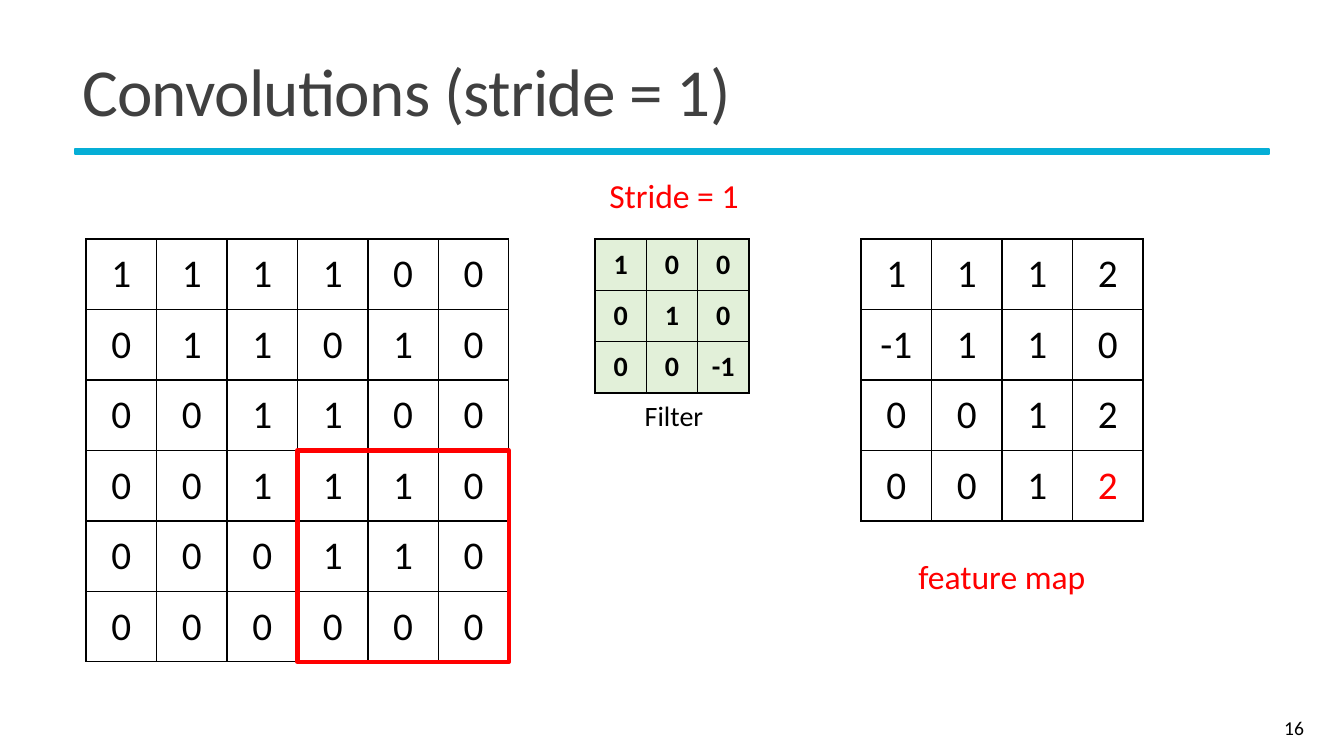
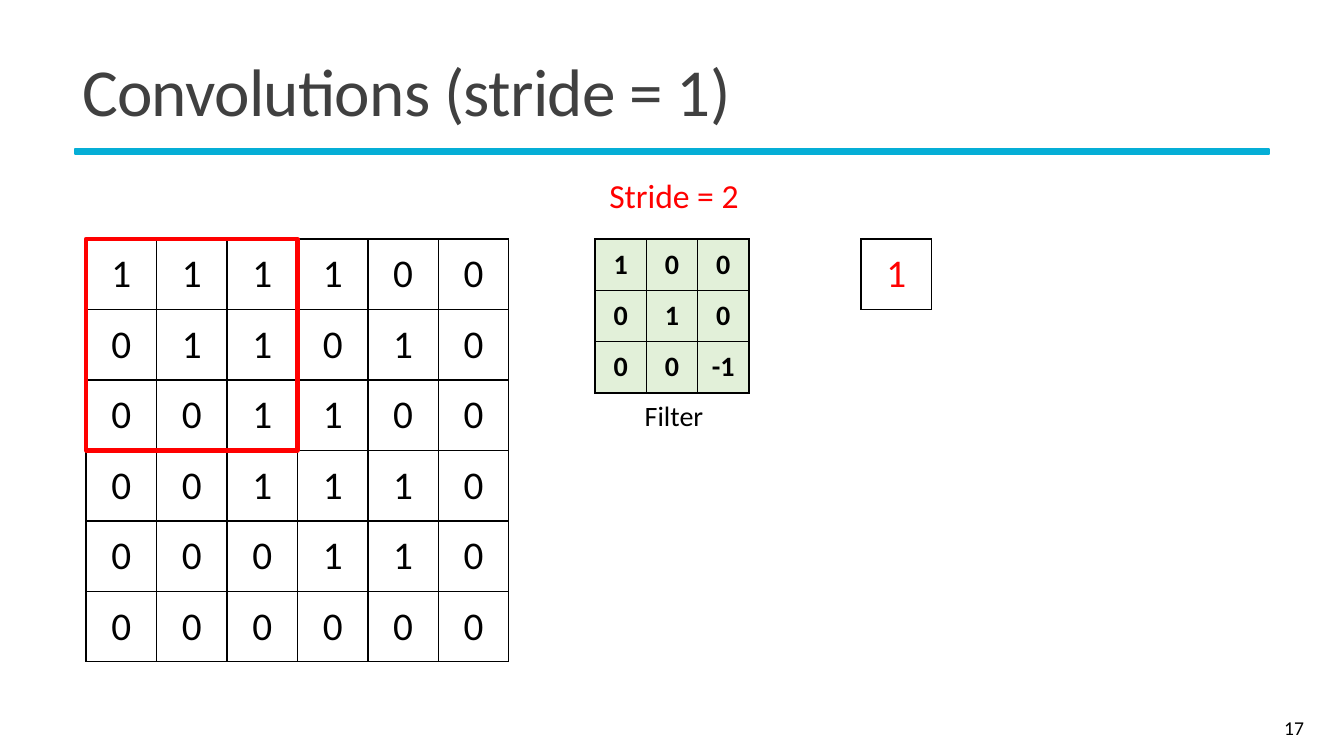
from lxml.etree import SubElement as Sub
from pptx import Presentation
from pptx.dml.color import RGBColor as Rgb
from pptx.enum.shapes import MSO_SHAPE as Shape
from pptx.enum.text import MSO_ANCHOR as Anchor, PP_ALIGN as Align
from pptx.oxml.ns import qn
from pptx.util import Emu, Pt

SCALE = 914400 / 100.8
HUES = {"band": "05AED6", "title": "404040", "ink": "000000",
        "mark": "FF0000", "mint": "E2F0D9"}
PLAIN = "{2D5ABB26-0587-4C30-8999-92F81FD0307C}"
LOOKS = {
    "title": {"size": Pt(48)},
    "page": {"size": Pt(14)},
    "cell": {"size": Pt(28)},
    "small": {"size": Pt(20), "bold": True},
    "note": {"size": Pt(20)},
    "head": {"size": Pt(24)},
}
IMAGE = ["1 1 1 1 0 0", "0 1 1 0 1 0", "0 0 1 1 0 0",
         "0 0 1 1 1 0", "0 0 0 1 1 0", "0 0 0 0 0 0"]
FILTER = ["1 0 0", "0 1 0", "0 0 -1"]
SLIDES = [
    {"page": "16", "stride": "Stride = 1", "spot": (3, 3), "hit": (3, 3),
     "map": ["1 1 1 2", "-1 1 1 0", "0 0 1 2", "0 0 1 2"],
     "label": "feature map"},
    {"page": "17", "stride": "Stride = 2", "spot": (0, 0), "hit": (0, 0),
     "map": ["1", "", "", ""], "label": ""},
]


def px(num):
    """Turn px into EMU."""
    return Emu(round(num * SCALE))


def place(box):
    """Turn a px box into EMU lengths."""
    return [px(num) for num in box]


def tint(name):
    """Look up a colour by name."""
    return Rgb.from_string(HUES[name])


def assign(item, vals):
    """Set each attribute of an item from a dict."""
    for key, val in vals.items():
        setattr(item, key, val)


def write(frame, text, look, hue="ink", align=Align.CENTER, space=None):
    """Write one styled paragraph into a text frame."""
    para = frame.paragraphs[0]
    assign(para, {"alignment": align, "line_spacing": space})
    run = para.add_run()
    run.text = text
    assign(run.font, {"name": "Calibri", **LOOKS[look]})
    run.font.color.rgb = tint(hue)
    return run


def label(slide, box, text, look, hue="ink", anchor=Anchor.TOP, **form):
    """Add a text box with one line."""
    frame = slide.shapes.add_textbox(*place(box)).text_frame
    assign(frame, {"word_wrap": True, "vertical_anchor": anchor})
    write(frame, text, look, hue, **form)


def block(slide, box, fill=None, line="mark", width=3):
    """Add a rectangle with a line and an optional fill."""
    rect = slide.shapes.add_shape(Shape.RECTANGLE, *place(box))
    rect.shadow.inherit = False
    if fill:
        rect.fill.solid()
        rect.fill.fore_color.rgb = tint(fill)
    else:
        rect.fill.background()
    rect.line.color.rgb = tint(line)
    rect.line.width = Pt(width)


def border(cell):
    """Draw a thin line on all four sides of a cell."""
    props = cell._tc.get_or_add_tcPr()
    for side in ("lnL", "lnR", "lnT", "lnB"):
        edge = Sub(props, qn(f"a:{side}"), w=str(Pt(1)))
        fill = Sub(edge, qn("a:solidFill"))
        Sub(fill, qn("a:srgbClr"), val=HUES["ink"])


def grid(slide, box, rows, look="cell", fill=None, hit=None, pad=(9, 5)):
    """Add a square table of numbers, leaving missing cells bare."""
    count = len(rows)
    table = slide.shapes.add_table(count, count, *place(box)).table
    assign(table, {"first_row": False, "horz_banding": False})
    table._tbl.tblPr.find(qn("a:tableStyleId")).text = PLAIN
    for col in table.columns:
        col.width = px(box[2] / count)
    for row in table.rows:
        row.height = px(box[3] / count)
    wide, high = place(pad)
    for r, row in enumerate(rows):
        for c, text in enumerate(row.split()):
            cell = table.cell(r, c)
            border(cell)
            assign(cell, {"vertical_anchor": Anchor.MIDDLE,
                          "margin_left": wide, "margin_right": wide,
                          "margin_top": high, "margin_bottom": high})
            write(cell.text_frame, text, look,
                  "mark" if (r, c) == hit else "ink")
            if fill:
                cell.fill.solid()
                cell.fill.fore_color.rgb = tint(fill)
            else:
                cell.fill.background()


def frame(slide, text, page):
    """Add the title, its band and the page number."""
    block(slide, (75, 149, 1194, 5), "band", "band", 1.25)
    title = slide.shapes.title
    names = ("left", "top", "width", "height")
    assign(title, dict(zip(names, place((72, 39, 1204, 114)))))
    title.text_frame.vertical_anchor = Anchor.MIDDLE
    run = write(title.text_frame, text, "title", "title", Align.LEFT, 0.85)
    run.font._element.set("spc", "-50")
    label(slide, (1170, 708, 144, 40), page, "page",
          anchor=Anchor.MIDDLE, align=Align.RIGHT)


def source(slide, box, spot):
    """Add the input grid with the filter window at a row and column."""
    x, y, w, h = box
    grid(slide, box, IMAGE)
    step = w / len(IMAGE)
    size = step * len(FILTER)
    row, col = spot
    block(slide, (x + col * step, y + row * step, size, size))


def kernel(slide, box, stride):
    """Add the filter grid between its stride and its name."""
    x, y, w, h = box
    grid(slide, box, FILTER, "small", "mint", pad=(7, 3))
    label(slide, (x + 2, y - 69, w, 50), stride, "head", "mark")
    label(slide, (x + 2, y + h + 1, w, 44), "Filter", "note")


def result(slide, box, rows, hit, text):
    """Add the feature map and its label."""
    x, y, w, h = box
    grid(slide, box, rows, hit=hit)
    if text:
        label(slide, (x, y + h + 12, w, 65), text, "head", "mark",
              Anchor.MIDDLE, space=1.5)


def main():
    """Build and save the deck."""
    deck = Presentation()
    assign(deck, {"slide_width": px(1344), "slide_height": px(756)})
    for data in SLIDES:
        slide = deck.slides.add_slide(deck.slide_layouts[5])
        frame(slide, "Convolutions (stride = 1)", data["page"])
        source(slide, (86, 239, 423, 423), data["spot"])
        kernel(slide, (595, 239, 154, 154), data["stride"])
        result(slide, (861, 239, 282, 282),
               data["map"], data["hit"], data["label"])
    deck.save("out.pptx")


if __name__ == "__main__":
    main()
